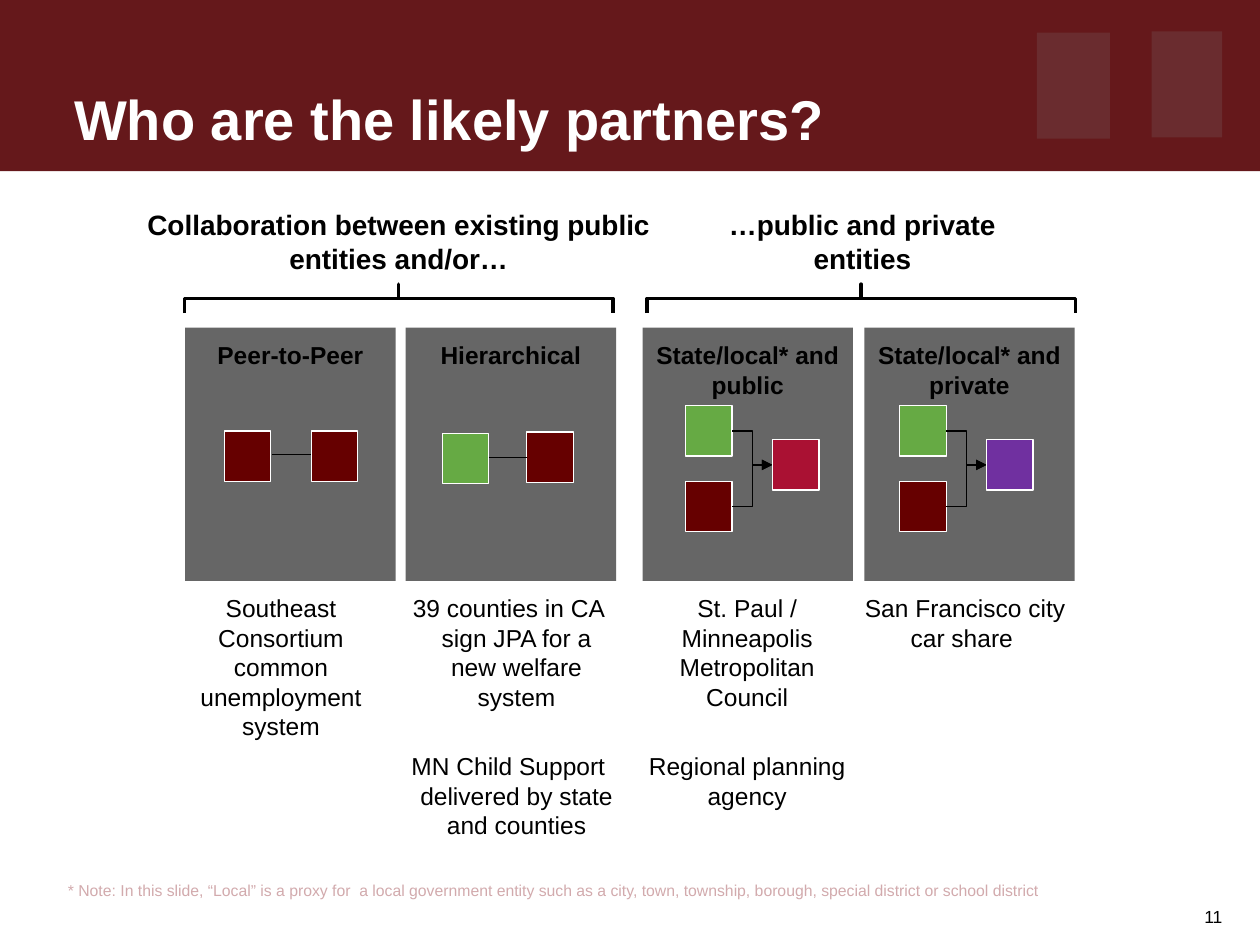
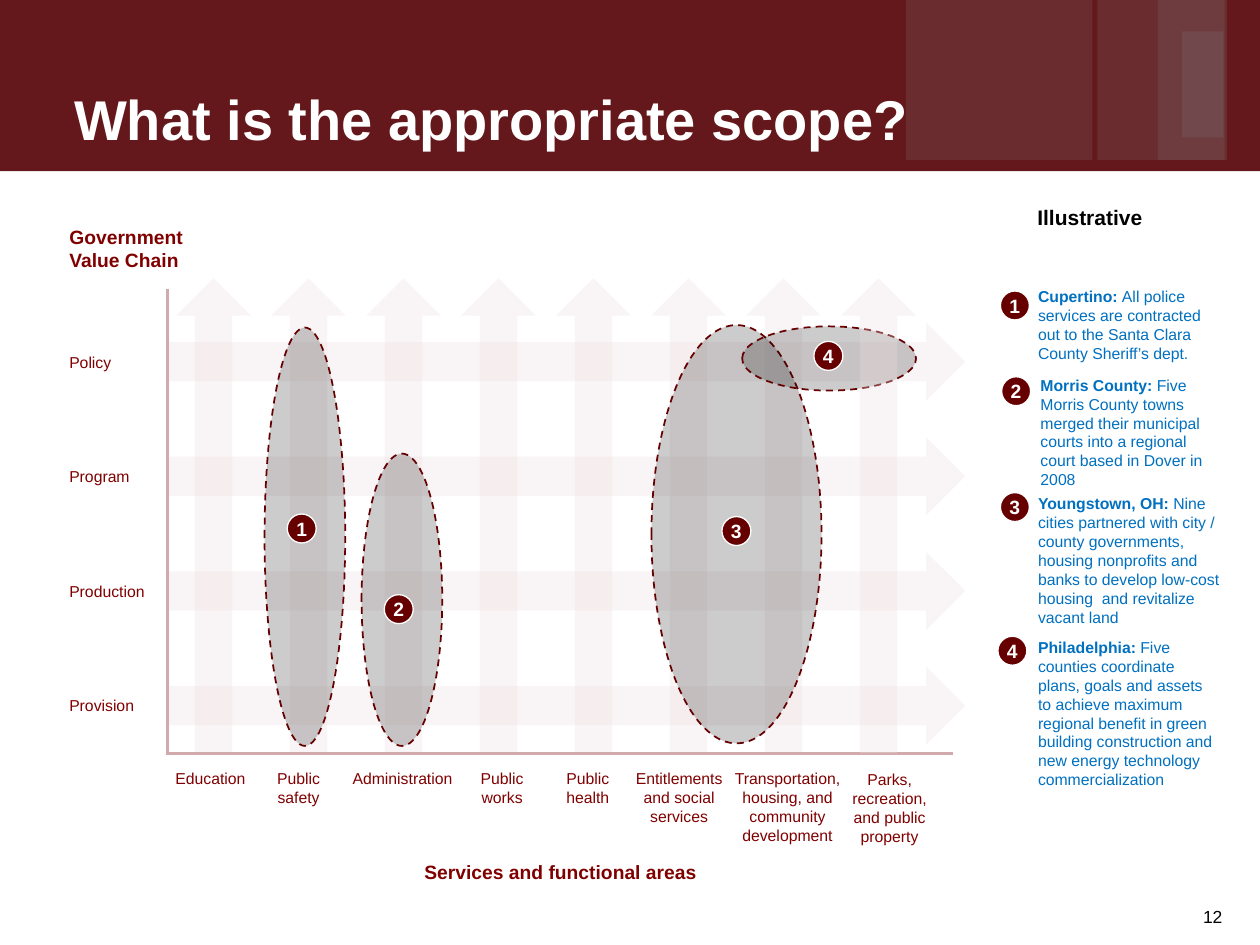
"""Build two slides on government partnerships and their scope."""
from dataclasses import dataclass
from typing import NamedTuple, Optional

from pptx import Presentation
from pptx.dml.color import RGBColor
from pptx.enum.dml import MSO_LINE
from pptx.enum.shapes import MSO_CONNECTOR, MSO_SHAPE
from pptx.enum.text import MSO_ANCHOR, PP_ALIGN
from pptx.oxml.ns import qn
from pptx.util import Inches, Pt
from lxml.etree import SubElement

FONT = "Arial"
BLACK = RGBColor(0x00, 0x00, 0x00)
WHITE = RGBColor(0xFF, 0xFF, 0xFF)
BAND = RGBColor(0x65, 0x18, 0x1B)
GRAY = RGBColor(0x80, 0x80, 0x80)
PANEL = RGBColor(0x66, 0x66, 0x66)
MAROON = RGBColor(0x66, 0x00, 0x00)
GREEN = RGBColor(0x66, 0xAA, 0x44)
CRIMSON = RGBColor(0xAA, 0x11, 0x33)
PURPLE = RGBColor(0x70, 0x30, 0xA0)
ROSE = RGBColor(0xD2, 0xAA, 0xAD)
BLUSH = RGBColor(0xED, 0xDD, 0xDE)
LABEL = RGBColor(0x80, 0x00, 0x00)
BLUE = RGBColor(0x00, 0x70, 0xC0)

LEFT, CENTER, RIGHT = PP_ALIGN.LEFT, PP_ALIGN.CENTER, PP_ALIGN.RIGHT
TOP, MIDDLE, BOTTOM = MSO_ANCHOR.TOP, MSO_ANCHOR.MIDDLE, MSO_ANCHOR.BOTTOM
SQUARE_W, SQUARE_H, BADGE = 0.37, 0.4, 0.23


class Box(NamedTuple):
    """Left, top, width and height in inches."""
    left: float
    top: float
    width: float
    height: float


@dataclass
class Style:
    """Look of a block of text."""
    size: float
    color: RGBColor = BLACK
    bold: bool = False
    align: PP_ALIGN = LEFT
    anchor: MSO_ANCHOR = TOP
    inset: tuple[float, float] = (0.1, 0.05)
    after: float = 0
    before: float = 0
    hanging: float = 0
    spacing: Optional[float] = None


@dataclass
class Model:
    """A partnership panel with its examples below."""
    left: float
    name: str
    examples: list[str]
    examples_box: Box
    hanging: float = 0


@dataclass
class Group:
    """A heading over a bracket that spans two panels."""
    heading: str
    box: Box
    bracket_left: float


@dataclass
class Case:
    """A numbered case with its area on the grid."""
    number: int
    place: str
    detail: str
    note: Box
    note_badge: tuple[float, float]
    area: Box
    area_badge: tuple[float, float]


TITLE = Style(32, WHITE, True, anchor=BOTTOM)
PAGE = Style(10, align=RIGHT, anchor=BOTTOM)
FOOTNOTE = Style(9, ROSE, anchor=BOTTOM)
HEADING = Style(16, bold=True, align=CENTER)
PANEL_NAME = Style(14, bold=True, align=CENTER, inset=(0.1, 0.1))
NUMBER = Style(11, WHITE, True, CENTER, MIDDLE, (0, 0))
ROW = Style(9, LABEL, inset=(0.05, 0.05))
COLUMN = Style(9, LABEL, align=CENTER, inset=(0.05, 0.05))
AXIS = Style(11, LABEL, True, inset=(0.05, 0.05))
AXIS_CENTER = Style(11, LABEL, True, CENTER, inset=(0.05, 0.05))
ILLUSTRATIVE = Style(12, bold=True, align=CENTER, inset=(0.05, 0.05), spacing=0.8)
NOTE = Style(9, BLUE)

GROUPS = [
    Group("Collaboration between existing public entities and/or…", Box(0.85, 1.6, 4.63, 0.64), 1.47),
    Group("…public and private entities", Box(5.33, 1.6, 3.03, 0.64), 5.14),
]
MODELS = [
    Model(1.47, "Peer-to-Peer", ["Southeast Consortium common unemployment system"],
          Box(1.47, 4.66, 1.52, 1.28)),
    Model(3.22, "Hierarchical", ["39 counties in CA sign JPA for a new welfare system",
                                 "MN Child Support delivered by state and counties"],
          Box(3.17, 4.66, 1.73, 2.07), 0.13),
    Model(5.1, "State/local* and public", ["St. Paul / Minneapolis Metropolitan Council",
                                           "Regional planning agency"],
          Box(5.09, 4.66, 1.68, 1.83)),
    Model(6.86, "State/local* and private", ["San Francisco city car share "],
          Box(6.82, 4.66, 1.68, 0.57)),
]
ROWS = ["Policy", "Program", "Production", "Provision"]
COLUMNS = [
    ("Education", Box(1.28, 6.05, 0.78, 0.25)),
    ("Public safety", Box(1.98, 6.05, 0.78, 0.4)),
    ("Administration", Box(2.68, 6.05, 1.03, 0.25)),
    ("Public works", Box(3.73, 6.05, 0.51, 0.4)),
    ("Public health", Box(4.41, 6.05, 0.51, 0.4)),
    ("Entitlements and social services", Box(4.94, 6.05, 0.9, 0.56)),
    ("Transportation, housing, and community development", Box(5.72, 6.05, 1.06, 0.71)),
    ("Parks, recreation, and public property", Box(6.67, 6.06, 0.78, 0.71)),
]
CASES = [
    Case(1, "Cupertino: ", "All police services are contracted out to the Santa Clara County Sheriff’s dept.",
         Box(8.14, 2.23, 1.64, 0.71), (7.94, 2.31), Box(2.1, 2.6, 0.64, 3.32), (2.28, 4.08)),
    Case(2, "Morris County: ", "Five Morris County towns merged their municipal courts into a regional "
         "court based in Dover in 2008",
         Box(8.16, 2.93, 1.64, 1.01), (7.95, 2.99), Box(2.87, 3.6, 0.64, 2.32), (3.05, 4.72)),
    Case(3, "Youngstown, OH: ", "Nine cities partnered with city / county governments, housing nonprofits "
         "and banks to develop low-cost housing  and revitalize vacant land",
         Box(8.14, 3.87, 1.64, 1.16), (7.94, 3.91), Box(5.17, 2.58, 1.35, 3.32), (5.73, 4.1)),
    Case(4, "Philadelphia: ", "Five counties coordinate plans, goals and assets to achieve maximum regional "
         "benefit in green building construction and new energy technology commercialization",
         Box(8.14, 5.01, 1.64, 1.31), (7.92, 5.05), Box(5.89, 2.59, 1.38, 0.51), (6.46, 2.71)),
]


def write(sp, paragraphs: list[str], style: Style, lead: str = "") -> None:
    """Fill a shape with styled paragraphs, the first with an optional bold lead."""
    tf = sp.text_frame
    tf.word_wrap = True
    tf.vertical_anchor = style.anchor
    tf.margin_left = tf.margin_right = Inches(style.inset[0])
    tf.margin_top = tf.margin_bottom = Inches(style.inset[1])
    for i, line in enumerate(paragraphs):
        p = tf.add_paragraph() if i else tf.paragraphs[0]
        p.text = lead if lead and not i else line
        if lead and not i:
            p.add_run().text = line
        p.alignment = style.align
        p.space_after = Pt(style.after)
        if i:
            p.space_before = Pt(style.before)
        if style.spacing:
            p.line_spacing = style.spacing
        if style.hanging:
            pPr = p._p.get_or_add_pPr()
            pPr.set("marL", str(Inches(style.hanging)))
            pPr.set("indent", str(-Inches(style.hanging)))
        for j, r in enumerate(p.runs):
            r.font.name, r.font.size = FONT, Pt(style.size)
            r.font.color.rgb = style.color
            r.font.bold = style.bold or (bool(lead) and j == 0)


def add_text(s, box: Box, paragraphs: list[str], style: Style, lead: str = "") -> None:
    """Add a text box."""
    write(s.shapes.add_textbox(*map(Inches, box)), paragraphs, style, lead)


def add_shape(s, kind: MSO_SHAPE, box: Box, fill: Optional[RGBColor] = None,
              alpha: int = 100, line: Optional[RGBColor] = None, width: float = 0.75):
    """Add a preset shape with its fill, opacity in percent and outline."""
    sp = s.shapes.add_shape(kind, *map(Inches, box))
    sp.shadow.inherit = False
    if fill is None:
        sp.fill.background()
    else:
        sp.fill.solid()
        sp.fill.fore_color.rgb = fill
        if alpha < 100:
            color = sp._element.spPr.find(qn("a:solidFill")).find(qn("a:srgbClr"))
            SubElement(color, qn("a:alpha")).set("val", str(alpha * 1000))
    if line is None:
        sp.line.fill.background()
    else:
        sp.line.color.rgb = line
        sp.line.width = Pt(width)
    return sp


def add_line(s, start: tuple[float, float], end: tuple[float, float], color: RGBColor = BLACK,
             width: float = 0.75, elbow_arrow: bool = False) -> None:
    """Add a straight line or an elbow arrow."""
    kind = MSO_CONNECTOR.ELBOW if elbow_arrow else MSO_CONNECTOR.STRAIGHT
    cn = s.shapes.add_connector(kind, *map(Inches, (*start, *end)))
    cn.line.color.rgb = color
    cn.line.width = Pt(width)
    if elbow_arrow:
        SubElement(cn.line._get_or_add_ln(), qn("a:tailEnd")).set("type", "triangle")
    SubElement(cn._element.spPr, qn("a:effectLst"))


def add_square(s, left: float, top: float, fill: RGBColor) -> None:
    """Add a square that stands for one entity."""
    add_shape(s, MSO_SHAPE.RECTANGLE, Box(left, top, SQUARE_W, SQUARE_H), fill, line=WHITE)


def add_merger(s, left: float, result: RGBColor) -> None:
    """Draw two entities feeding into a third one."""
    for top, joint, fill in ((3.22, 3.42, GREEN), (3.82, 4.02, MAROON)):
        add_square(s, left, top, fill)
        add_line(s, (left + SQUARE_W, joint), (left + 0.69, 3.69), elbow_arrow=True)
    add_square(s, left + 0.69, 3.49, result)


def add_badge(s, at: tuple[float, float], number: int) -> None:
    """Add a numbered round badge."""
    write(add_shape(s, MSO_SHAPE.OVAL, Box(*at, BADGE, BADGE), MAROON, line=WHITE), [str(number)], NUMBER)


def add_up_arrow(s, column: int) -> None:
    """Add the arrow of one service column."""
    add_shape(s, MSO_SHAPE.UP_ARROW, Box(1.4 + 0.754 * column, 2.21, 0.59, 3.77), BLUSH, 30)


def start_slide(prs, title: str, page: int, tiles: list[Box]):
    """Add a slide with the title band, its tiles and the page number."""
    s = prs.slides.add_slide(prs.slide_layouts[6])
    add_shape(s, MSO_SHAPE.RECTANGLE, Box(0, 0, 10, 1.36), BAND)
    add_text(s, Box(0.49, 0, 7.32, 1.25), [title], TITLE)
    for tile in tiles:
        add_shape(s, MSO_SHAPE.RECTANGLE, tile, GRAY, 20)
    add_text(s, Box(7.95, 7.11, 1.85, 0.3), [str(page)], PAGE)
    return s


def build_partners(prs) -> None:
    """Build the slide on the likely partners."""
    s = start_slide(prs, "Who are the likely partners?", 11,
                    [Box(9.14, 0.25, 0.56, 0.84), Box(8.23, 0.26, 0.58, 0.84)])
    for group in GROUPS:
        add_text(s, group.box, [group.heading], HEADING)
        bracket = add_shape(s, MSO_SHAPE.RIGHT_BRACE, Box(group.bracket_left + 1.58, 0.67, 0.23, 3.4),
                            line=BLACK, width=2)
        bracket.adjustments[0] = 0
        bracket.rotation = 270
    for model in MODELS:
        panel = add_shape(s, MSO_SHAPE.RECTANGLE, Box(model.left, 2.6, 1.67, 2.01), PANEL)
        write(panel, [model.name], PANEL_NAME)
        add_text(s, model.examples_box, model.examples,
                 Style(14, align=CENTER, inset=(0.02, 0.05), after=3, before=20, hanging=model.hanging))
    add_square(s, 1.78, 3.42, MAROON)
    add_square(s, 2.47, 3.42, MAROON)
    add_line(s, (2.16, 3.61), (2.47, 3.61))
    add_square(s, 3.51, 3.44, GREEN)
    add_square(s, 4.18, 3.43, MAROON)
    add_line(s, (3.88, 3.63), (4.18, 3.63))
    add_merger(s, 5.44, CRIMSON)
    add_merger(s, 7.14, PURPLE)
    add_text(s, Box(0.44, 6.94, 9.18, 0.25),
             ["* Note: In this slide, “Local” is a proxy for  a local government entity such as a city, town, "
              "township, borough, special district or school district"], FOOTNOTE)


def build_scope(prs) -> None:
    """Build the slide on the appropriate scope."""
    s = start_slide(prs, "What is the appropriate scope?", 12,
                    [Box(8.71, 0, 1.01, 1.27), Box(9.19, 0, 0.55, 1.27),
                     Box(7.19, 0, 1.48, 1.27), Box(9.38, 0.25, 0.33, 0.84)])
    last = len(COLUMNS) - 1
    for column in range(last):
        add_up_arrow(s, column)
    add_line(s, (1.34, 5.98), (7.56, 5.98), ROSE, 1.5)
    for i, name in enumerate(ROWS):
        add_shape(s, MSO_SHAPE.RIGHT_ARROW, Box(1.34, 2.56 + 0.91 * i, 6.32, 0.62), BLUSH, 30)
        add_text(s, Box(0.5, 2.75 + 0.907 * i, 0.86, 0.25), [name], ROW)
    add_line(s, (1.33, 5.99), (1.33, 2.29), ROSE, 1.5)
    for name, box in COLUMNS:
        add_text(s, box, [name], COLUMN)
    for case in CASES:
        area = add_shape(s, MSO_SHAPE.OVAL, case.area, BLACK, 20, MAROON, 1)
        area.line.dash_style = MSO_LINE.DASH
        add_badge(s, case.area_badge, case.number)
        add_text(s, case.note, [case.detail], NOTE, case.place)
        add_badge(s, case.note_badge, case.number)
    add_up_arrow(s, last)
    add_text(s, Box(0.5, 1.74, 1.25, 0.47), ["Government Value Chain"], AXIS)
    add_text(s, Box(1.3, 6.78, 6.3, 0.29), ["Services and functional areas"], AXIS_CENTER)
    add_text(s, Box(8.13, 1.61, 1.04, 0.26), ["Illustrative"], ILLUSTRATIVE)


def main() -> None:
    """Create and save the presentation."""
    prs = Presentation()
    prs.slide_width, prs.slide_height = Inches(10), Inches(7.5)
    build_partners(prs)
    build_scope(prs)
    prs.save("out.pptx")


if __name__ == "__main__":
    main()
